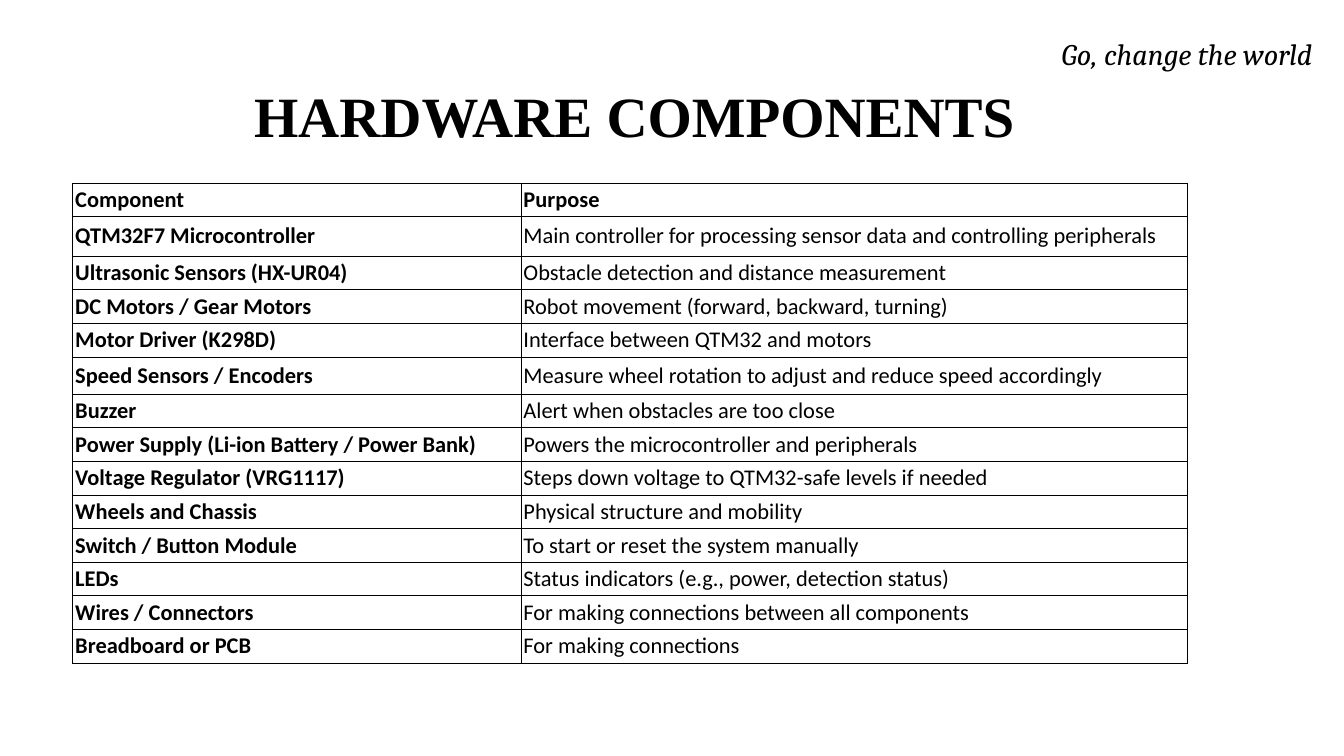
from lxml.etree import SubElement
from pptx import Presentation
from pptx.dml.color import RGBColor
from pptx.enum.text import MSO_ANCHOR as Anchor, MSO_AUTO_SIZE as AutoSize, PP_ALIGN as Align
from pptx.oxml.ns import qn
from pptx.util import Inches, Pt

COLORS = {"ink": "000000"}
COMPONENTS = [
    ("Component", "Purpose"),
    ("QTM32F7 Microcontroller", "Main controller for processing sensor data and controlling peripherals"),
    ("Ultrasonic Sensors (HX-UR04)", "Obstacle detection and distance measurement"),
    ("DC Motors / Gear Motors", "Robot movement (forward, backward, turning)"),
    ("Motor Driver (K298D)", "Interface between QTM32 and motors"),
    ("Speed Sensors / Encoders", "Measure wheel rotation to adjust and reduce speed accordingly"),
    ("Buzzer", "Alert when obstacles are too close"),
    ("Power Supply (Li-ion Battery / Power Bank)", "Powers the microcontroller and peripherals"),
    ("Voltage Regulator (VRG1117)", "Steps down voltage to QTM32-safe levels if needed"),
    ("Wheels and Chassis", "Physical structure and mobility"),
    ("Switch / Button Module", "To start or reset the system manually"),
    ("LEDs", "Status indicators (e.g., power, detection status)"),
    ("Wires / Connectors", "For making connections between all components"),
    ("Breadboard or PCB", "For making connections"),
]
COLUMN_WIDTHS = (6.67, 9.92)
ROW_HEIGHT = 0.48
TALL_ROWS = {1: 0.59, 5: 0.55}


def add_run(paragraph, text, font_name, size, bold=False, italic=False):
    """Append one formatted run to a paragraph."""
    run = paragraph.add_run()
    run.text = text
    run.font.name = font_name
    run.font.size = Pt(size)
    run.font.bold = bold
    run.font.italic = italic
    run.font.color.rgb = RGBColor.from_string(COLORS["ink"])


def format_heading(box, position, align, line_points):
    """Place a one-line box without insets and return its paragraph."""
    box.left, box.top, box.width, box.height = (Inches(value) for value in position)
    frame = box.text_frame
    frame.margin_left = frame.margin_top = frame.margin_right = frame.margin_bottom = 0
    frame.word_wrap = True
    frame.auto_size = AutoSize.SHAPE_TO_FIT_TEXT
    frame.vertical_anchor = Anchor.TOP
    paragraph = frame.paragraphs[0]
    paragraph.alignment = align
    paragraph.line_spacing = Pt(line_points)
    paragraph.space_before = Pt(0)
    return paragraph


def add_title(slide):
    """Format the title placeholder."""
    paragraph = format_heading(slide.shapes.title, (3.78, 1.02, 12.99, 1.19), Align.LEFT, 86)
    add_run(paragraph, "HARDWARE COMPONENTS", "Times New Roman", 61, bold=True)


def add_motto(slide):
    """Add the motto in the top right corner."""
    motto = slide.shapes.add_textbox(0, 0, 0, 0)
    paragraph = format_heading(motto, (15.76, 0.44, 3.81, 1.25), Align.CENTER, 45)
    add_run(paragraph, "Go, change the world", "Cambria", 32, italic=True)


def draw_borders(cell):
    """Rule all four sides of a cell with a thin line."""
    properties = cell._tc.get_or_add_tcPr()
    for side in ("a:lnL", "a:lnR", "a:lnT", "a:lnB"):
        border = SubElement(properties, qn(side), w=str(Pt(0.45)))
        fill = SubElement(border, qn("a:solidFill"))
        SubElement(fill, qn("a:srgbClr"), val=COLORS["ink"])


def fill_cell(cell, text, bold):
    """Write and format one table cell."""
    draw_borders(cell)
    cell.fill.background()
    cell.vertical_anchor = Anchor.MIDDLE
    cell.margin_left = cell.margin_right = Inches(0.04)
    cell.margin_top = cell.margin_bottom = Inches(0.05)
    add_run(cell.text_frame.paragraphs[0], text, "Calibri", 24, bold=bold)


def add_component_table(slide):
    """Add the table of components and their purposes."""
    heights = [TALL_ROWS.get(index, ROW_HEIGHT) for index in range(len(COMPONENTS))]
    table = slide.shapes.add_table(
        len(COMPONENTS), len(COLUMN_WIDTHS), Inches(1.08), Inches(2.72),
        Inches(sum(COLUMN_WIDTHS)), Inches(sum(heights)),
    ).table
    table.first_row = table.horz_banding = False
    for column, width in zip(table.columns, COLUMN_WIDTHS):
        column.width = Inches(width)
    for row_index, (height, entries) in enumerate(zip(heights, COMPONENTS)):
        table.rows[row_index].height = Inches(height)
        for column_index, text in enumerate(entries):
            is_label = row_index == 0 or column_index == 0
            fill_cell(table.cell(row_index, column_index), text, is_label)


def main():
    """Build and save the slide."""
    deck = Presentation()
    deck.slide_width, deck.slide_height = Inches(20), Inches(11.25)
    slide = deck.slides.add_slide(deck.slide_layouts[5])
    add_title(slide)
    add_motto(slide)
    add_component_table(slide)
    deck.save("out.pptx")


if __name__ == "__main__":
    main()
